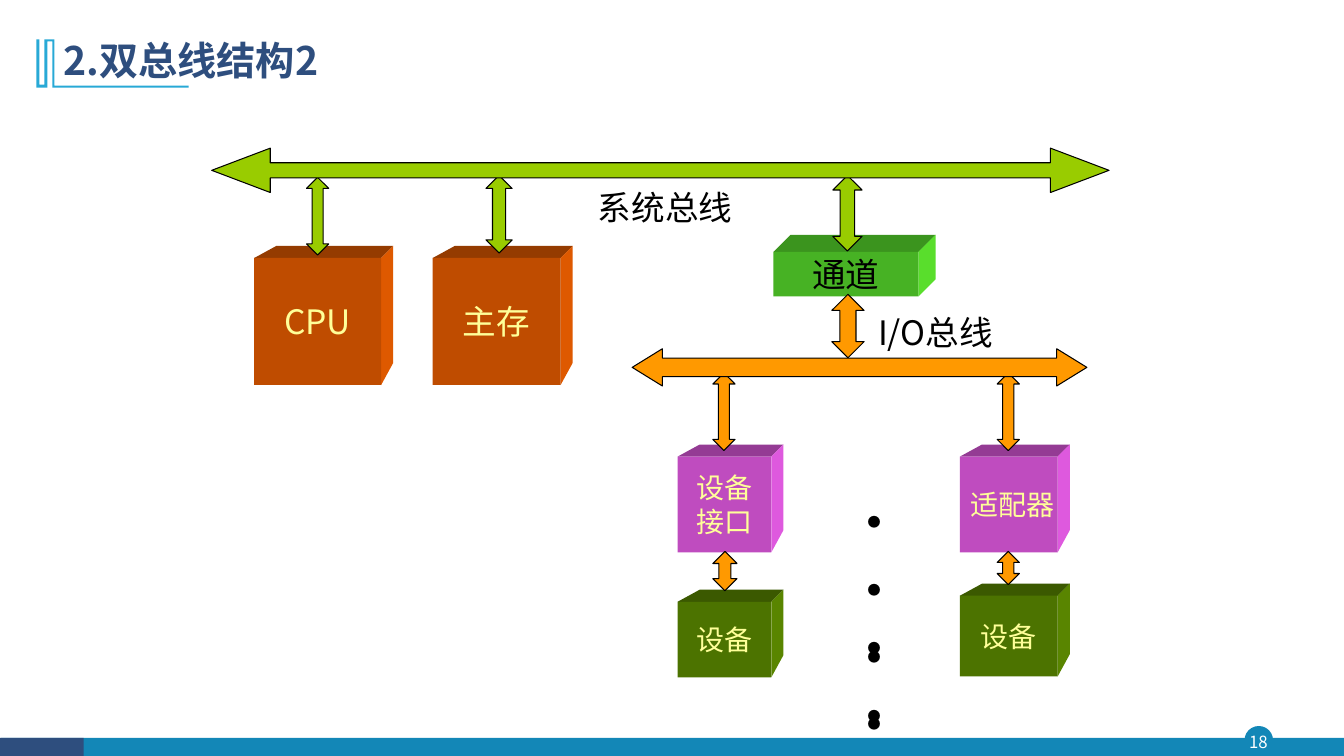
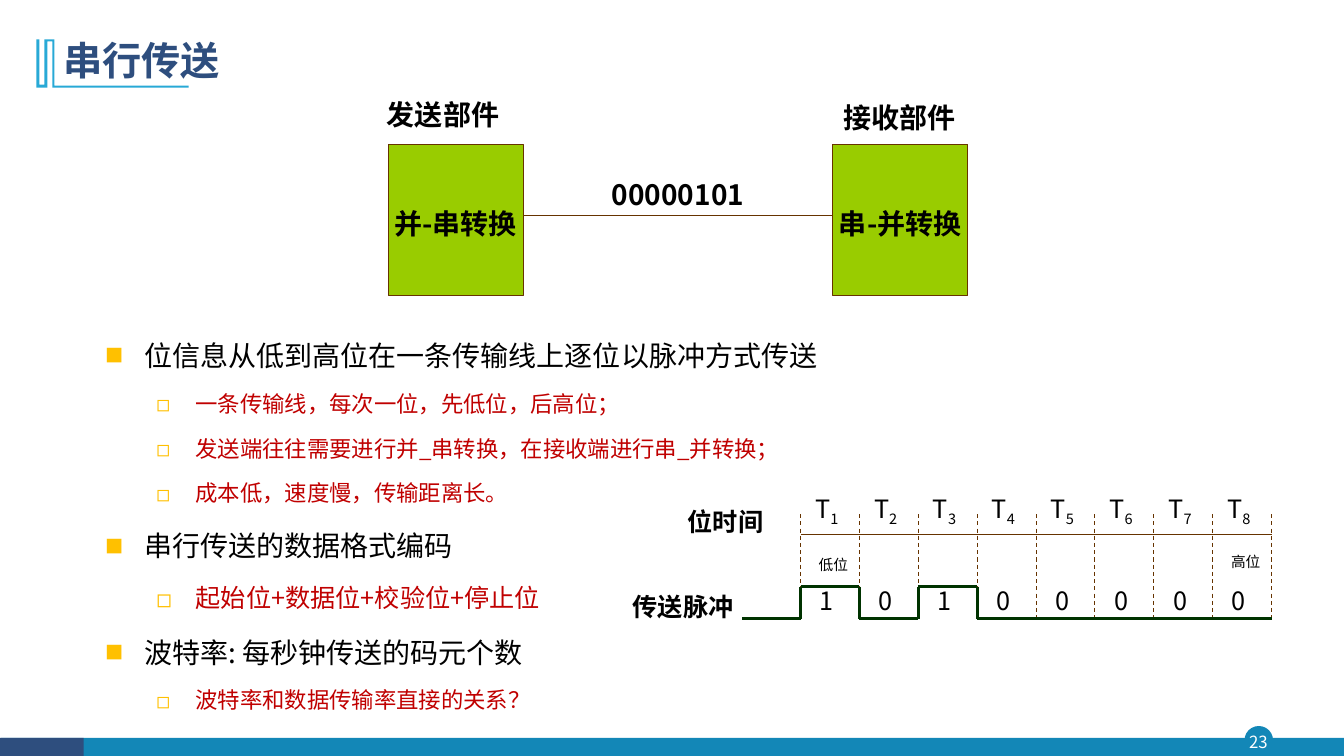
from itertools import pairwise
from lxml import etree
from pptx import Presentation
from pptx.dml.color import RGBColor
from pptx.enum.dml import MSO_LINE
from pptx.enum.shapes import MSO_CONNECTOR, MSO_SHAPE
from pptx.enum.text import MSO_ANCHOR, MSO_AUTO_SIZE, PP_ALIGN
from pptx.oxml.ns import qn
from pptx.util import Inches, Pt

FONT = "Noto Sans CJK SC"
TEAL, NAVY, SKY = "1387B7", "2E4E7E", "28A9D6"
LIME, AMBER, CREAM = "99CC00", "FF9900", "FFFF99"
BROWN, PINE, RED, GOLD = "663300", "003300", "C00000", "FFC000"
RUST, PINK, OLIVE, GREEN = "FF6600", "FF66FF", "669900", "66FF33"
BLACK, WHITE = "000000", "FFFFFF"


# Shared helpers
def color(code):
    return RGBColor.from_string(code)


def shade(code, rate):
    parts = [int(code[i:i + 2], 16) for i in (0, 2, 4)]
    return "".join(f"{round(part * rate):02X}" for part in parts)


def style(font, size, tint, bold=False):
    look = {"name": FONT, "size": Pt(size), "bold": bold}
    for key, val in look.items():
        setattr(font, key, val)
    font.color.rgb = color(tint)
    etree.SubElement(font._element, qn("a:ea")).set("typeface", FONT)


def paint(shape, fill, line=None, width=0.75):
    shape.shadow.inherit = False
    shape.fill.solid()
    shape.fill.fore_color.rgb = color(fill)
    if line:
        shape.line.color.rgb = color(line)
        shape.line.width = Pt(width)
    else:
        shape.line.fill.background()
    return shape


def block(slide, kind, box, fill, line=None, width=0.75):
    shape = slide.shapes.add_shape(kind, *map(Inches, box))
    return paint(shape, fill, line, width)


def shape_of(slide, points, fill):
    points = [(Inches(x), Inches(y)) for x, y in points]
    form = slide.shapes.build_freeform(*points[0])
    form.add_line_segments(points[1:], close=True)
    return paint(form.convert_to_shape(), fill)


def frame(shape, anchor=MSO_ANCHOR.MIDDLE, wrap=False, inset=0):
    body = shape.text_frame
    look = {"vertical_anchor": anchor, "word_wrap": wrap,
            "auto_size": MSO_AUTO_SIZE.NONE}
    sides = ("left", "right", "top", "bottom")
    look |= {f"margin_{side}": Inches(inset) for side in sides}
    for key, val in look.items():
        setattr(body, key, val)
    return body


def write(shape, text, size, tint=BLACK, bold=False, align=PP_ALIGN.CENTER):
    body = frame(shape)
    body.text = text
    for para in body.paragraphs:
        para.alignment = align
        for run in para.runs:
            style(run.font, size, tint, bold)
    return body


def label(slide, box, text, size, **look):
    shape = slide.shapes.add_textbox(*map(Inches, box))
    return write(shape, text, size, **look)


def line(slide, start, end, tint, width=0.75, dash=False):
    wire = slide.shapes.add_connector(
        MSO_CONNECTOR.STRAIGHT, *map(Inches, (*start, *end)))
    wire.line.color.rgb = color(tint)
    wire.line.width = Pt(width)
    if dash:
        wire.line.dash_style = MSO_LINE.DASH
    etree.SubElement(wire._element.spPr, qn("a:effectLst"))


# Footer, title mark and title of every slide
def base(deck, layout, title, number):
    slide = deck.slides.add_slide(deck.slide_layouts[layout])
    block(slide, MSO_SHAPE.OVAL, (12.35, 7.21, 0.27, 0.27), TEAL, TEAL, 1)
    block(slide, MSO_SHAPE.RECTANGLE, (0.01, 7.32, 13.32, 0.18), TEAL)
    block(slide, MSO_SHAPE.RECTANGLE, (0, 7.32, 0.83, 0.18), NAVY)
    label(slide, (12.32, 7.2, 0.32, 0.31), number, 12, tint=WHITE)
    shape_of(slide, [
        (0.54, 0.39), (0.54, 0.85), (1.87, 0.85), (1.87, 0.87),
        (0.52, 0.87), (0.52, 0.41), (0.47, 0.41), (0.47, 0.87),
        (0.36, 0.87), (0.36, 0.39), (0.39, 0.39), (0.39, 0.84),
        (0.44, 0.84), (0.44, 0.39)], SKY)
    head = slide.shapes.title
    place(head, (0.53, 0.28, 11.5, 0.68))
    body = write(head, title, 28, NAVY, True, PP_ALIGN.LEFT)
    body.margin_left = Inches(0.1)
    body.paragraphs[0].line_spacing = 0.9
    return slide


def place(shape, box):
    for key, val in zip(("left", "top", "width", "height"), box):
        setattr(shape, key, Inches(val))


# Bus diagram
def cube(slide, box, fill, text, size, tint=CREAM, deep=0.12, near=0.22,
         rate=0.75):
    left, top, wide, high = box
    right, base_y = left + wide, top + high
    back = (right + deep, top - deep)
    shape_of(slide, [(left, top), (left + near, top - deep), back,
                     (right, top)], shade(fill, 0.58))
    shape_of(slide, [(right, top), back, (right + deep, base_y - near),
                     (right, base_y)], shade(fill, 0.87))
    face = block(slide, MSO_SHAPE.RECTANGLE, box, shade(fill, rate))
    return write(face, text, size, tint)


def arrow(slide, box, fill, first, second, kind=MSO_SHAPE.UP_DOWN_ARROW):
    shape = block(slide, kind, box, fill, BLACK)
    shape.adjustments[0] = first
    shape.adjustments[1] = second


def dots(slide, top, count):
    box = (8.42, top, 0.5, count * 0.65)
    body = label(slide, box, "\n".join("·" * count), 40)
    body.vertical_anchor = MSO_ANCHOR.TOP
    for para in body.paragraphs:
        para.line_spacing = Pt(48)


def bus_slide(deck):
    slide = base(deck, 5, "2.双总线结构2", "18")
    # Units
    cube(slide, (2.52, 2.56, 1.26, 1.26), RUST, "CPU", 24)
    cube(slide, (4.29, 2.56, 1.27, 1.26), RUST, "主存", 24)
    cube(slide, (7.67, 2.5, 1.44, 0.44), GREEN, "通道", 24, BLACK,
         0.17, 0.17, 0.7)
    cube(slide, (6.72, 4.53, 0.93, 0.95), PINK, "设备\n接口", 20)
    body = cube(slide, (9.52, 4.53, 0.97, 0.95), PINK, "适配器", 20)
    body.margin_left = Inches(0.08)
    cube(slide, (6.72, 5.97, 0.93, 0.75), OLIVE, "设备", 20)
    cube(slide, (9.52, 5.91, 0.97, 0.8), OLIVE, "设备", 20)
    # Links between units and buses
    for box, fill, tip in [
            ((3.04, 1.76, 0.22, 0.77), LIME, 0.7),
            ((4.82, 1.74, 0.26, 0.77), LIME, 0.7),
            ((8.26, 1.74, 0.29, 0.75), LIME, 0.7),
            ((8.25, 2.92, 0.32, 0.63), AMBER, 0.39),
            ((7.07, 3.7, 0.22, 0.77), AMBER, 0.7),
            ((9.89, 3.7, 0.22, 0.77), AMBER, 0.7),
            ((7.07, 5.47, 0.24, 0.39), AMBER, 0.3),
            ((9.89, 5.47, 0.22, 0.33), AMBER, 0.3)]:
        arrow(slide, box, fill, tip, 0.5)
    # Buses and their names
    wide = MSO_SHAPE.LEFT_RIGHT_ARROW
    arrow(slide, (2.1, 1.47, 8.9, 0.44), LIME, 0.34, 1.32, wide)
    arrow(slide, (6.27, 3.46, 4.51, 0.37), AMBER, 0.5, 0.81, wide)
    for box, name in [((5.93, 1.8, 1.4, 0.5), "系统总线"),
                      ((8.71, 3.04, 1.3, 0.5), "I/O总线")]:
        label(slide, box, name, 24, align=PP_ALIGN.LEFT)
    dots(slide, 4.84, 4)
    dots(slide, 6.09, 2)


# Sender and receiver
def sender(slide, left, top):
    for x, text in [(left, "并-串转换"), (left + 4.41, "串-并转换")]:
        box = block(slide, MSO_SHAPE.RECTANGLE, (x, top, 1.34, 1.5),
                    LIME, BROWN)
        body = write(box, text, 20, bold=True)
        body.margin_top = Inches(0.08)
    line(slide, (left + 1.34, top + 0.71), (left + 4.41, top + 0.71), BROWN)
    for x, y, text in [(-0.44, -0.55, "发送部件"), (4.09, -0.52, "接收部件"),
                       (1.89, 0.25, "00000101")]:
        label(slide, (left + x, top + y, 1.97, 0.5), text, 20, bold=True)


# Bulleted list
def bullet(para, level):
    para.level = level
    props = para._p.get_or_add_pPr()
    left, hang = ((0.38, 0.38), (0.89, 0.39))[level]
    props.set("marL", str(Inches(left)))
    props.set("indent", str(-Inches(hang)))
    tint = etree.SubElement(props, qn("a:buClr"))
    etree.SubElement(tint, qn("a:srgbClr")).set("val", GOLD)
    scale = ("65000", "100000")[level]
    etree.SubElement(props, qn("a:buSzPct")).set("val", scale)
    etree.SubElement(props, qn("a:buFont")).set("typeface", FONT)
    etree.SubElement(props, qn("a:buChar")).set("char", "■◻"[level])


def points(slide, box, items):
    shape = slide.placeholders[1]
    place(shape, box)
    body = frame(shape, MSO_ANCHOR.TOP, True, 0.1)
    for i, (level, size, text) in enumerate(items):
        para = body.add_paragraph() if i else body.paragraphs[0]
        bullet(para, level)
        para.line_spacing = 1.5
        para.space_before = Pt(round(size * 0.2, 1) if i else 0)
        run = para.add_run()
        run.text = text
        style(run.font, size, RED if level else BLACK)


# Timing chart of the pulses
def timing(slide, left, top, bits="10100000", step=0.584):
    low, high = top + 1.04, top + 0.72
    end = left + step * len(bits)
    for i in range(len(bits) + 1):
        x = left + i * step
        line(slide, (x, top), (x, low), BROWN, dash=True)
    line(slide, (left, top + 0.2), (end, top + 0.2), BROWN)
    track = [(left - 0.58, low), (left, low)]
    for i, bit in enumerate(bits):
        x, y = left + i * step, high if bit == "1" else low
        track += [(x, y), (x + step, y)]
        label(slide, (x, top + 0.66, 0.52, 0.4), bit, 18)
        mark = label(slide, (x, top - 0.24, 0.52, 0.4), "T", 18)
        run = mark.paragraphs[0].add_run()
        run.text = str(i + 1)
        style(run.font, 18, BLACK)
        run.font._element.set("baseline", "-25000")
    for start, stop in pairwise(track):
        if start != stop:
            line(slide, start, stop, PINE, 2.25)
    for x, y, wide, text, size, bold in [
            (0, 0.38, 0.65, "低位", 10.5, False),
            (4.09, 0.35, 0.65, "高位", 10.5, False),
            (-1.36, -0.13, 1.23, "位时间", 18, True),
            (-1.88, 0.72, 1.43, "传送脉冲", 18, True)]:
        label(slide, (left + x, top + y, wide, size / 45), text, size,
              bold=bold)


def serial_slide(deck):
    slide = base(deck, 1, "串行传送", "23")
    sender(slide, 3.85, 1.43)
    points(slide, (0.95, 3.09, 10.14, 4.2), [
        (0, 20, "位信息从低到高位在一条传输线上逐位以脉冲方式传送"),
        (1, 16, "一条传输线，每次一位，先低位，后高位；"),
        (1, 16, "发送端往往需要进行并_串转换，在接收端进行串_并转换；"),
        (1, 16, "成本低，速度慢，传输距离长。"),
        (0, 20, "串行传送的数据格式编码"),
        (1, 18, "起始位+数据位+校验位+停止位"),
        (0, 20, "波特率: 每秒钟传送的码元个数"),
        (1, 16, "波特率和数据传输率直接的关系？")])
    timing(slide, 7.94, 5.1)


def main():
    deck = Presentation()
    deck.slide_width, deck.slide_height = Inches(13.33), Inches(7.5)
    bus_slide(deck)
    serial_slide(deck)
    deck.save("out.pptx")


if __name__ == "__main__":
    main()
